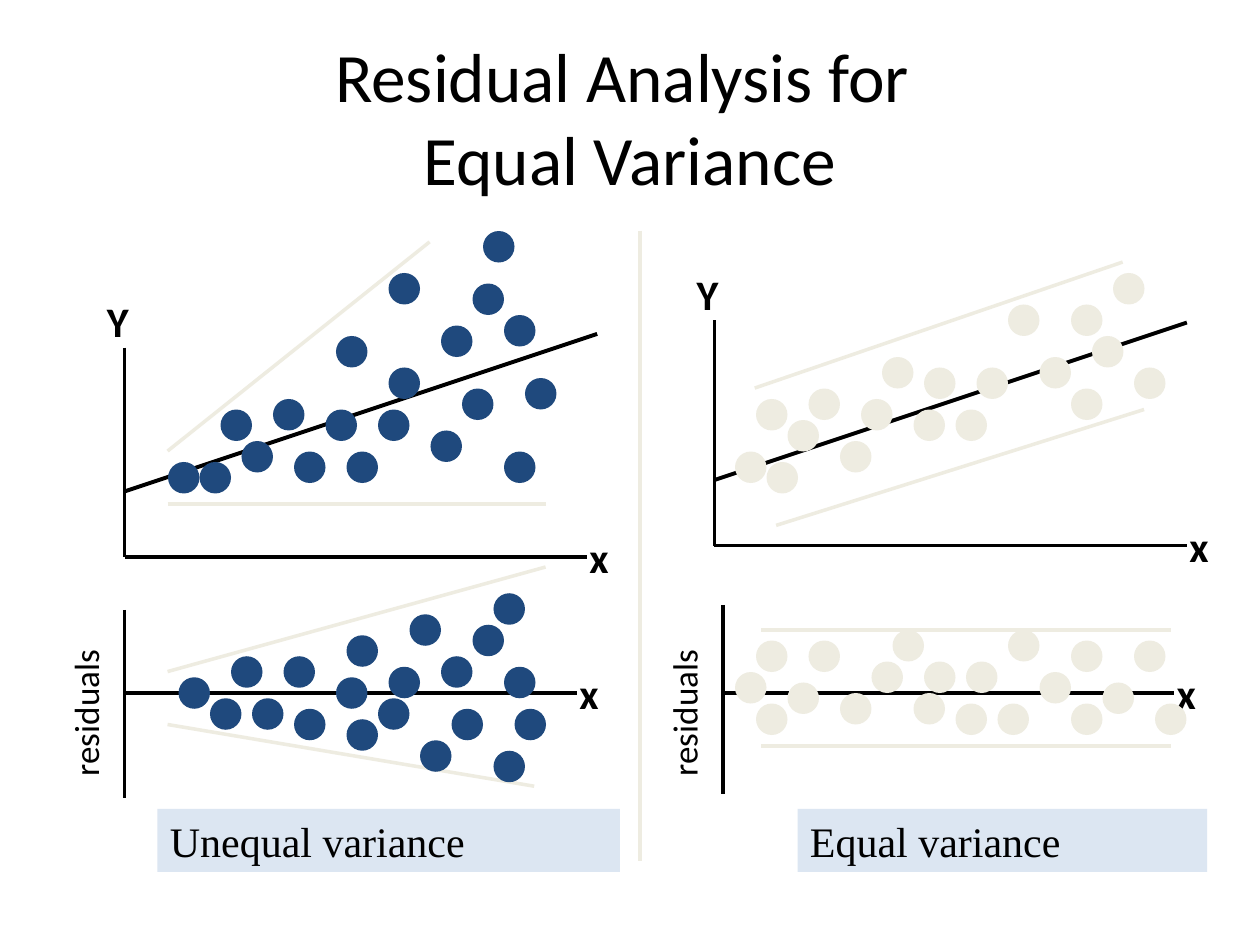
"""Build a slide contrasting unequal and equal variance in regression residuals."""
from dataclasses import dataclass

from lxml.etree import SubElement
from pptx import Presentation
from pptx.dml.color import RGBColor
from pptx.enum.shapes import MSO_CONNECTOR as Connector, MSO_SHAPE as Shape
from pptx.enum.text import MSO_ANCHOR as Anchor, PP_ALIGN as Align
from pptx.oxml.ns import qn
from pptx.slide import Slide
from pptx.util import Inches, Pt

BLACK = RGBColor(0x00, 0x00, 0x00)
NAVY = RGBColor(0x1F, 0x49, 0x7D)
CREAM = RGBColor(0xEE, 0xEC, 0xE1)
PALE_BLUE = RGBColor(0xDC, 0xE6, 0xF2)
CELLS_PER_INCH = 12
DOT_SIZE = Inches(0.25)

Point = tuple[float, float]


@dataclass(frozen=True)
class Label:
    text: str
    left: float
    top: float
    width: float
    height: float = 0.5
    size: float = 24
    font: str = "Calibri"
    bold: bool = False
    rotation: float = 0
    fill: RGBColor | None = None
    align: Align = Align.LEFT
    anchor: Anchor = Anchor.TOP
    wrap: bool = True


@dataclass(frozen=True)
class Plot:
    left: float
    right: float
    top: float
    bottom: float
    bands: list[tuple[Point, Point]]
    dot_color: RGBColor
    first_row: float
    rows: list[list[int]]


def draw_line(page: Slide, start: Point, end: Point,
              color: RGBColor = BLACK, width: float = 2) -> None:
    """Draw one straight line without a shadow."""
    ends = [Inches(value) for value in (*start, *end)]
    connector = page.shapes.add_connector(Connector.STRAIGHT, *ends)
    connector.line.color.rgb = color
    connector.line.width = Pt(width)
    SubElement(connector._element.spPr, qn("a:effectLst"))


def draw_label(page: Slide, label: Label) -> None:
    """Draw one text box with its optional fill and rotation."""
    box = page.shapes.add_textbox(
        Inches(label.left), Inches(label.top), Inches(label.width), Inches(label.height)
    )
    box.rotation = label.rotation
    if label.fill is not None:
        box.fill.solid()
        box.fill.fore_color.rgb = label.fill
    frame = box.text_frame
    frame.word_wrap = label.wrap
    frame.vertical_anchor = label.anchor
    frame.text = label.text
    for para in frame.paragraphs:
        para.alignment = label.align
        for span in para.runs:
            span.font.name = label.font
            span.font.size = Pt(label.size)
            span.font.bold = label.bold
            span.font.color.rgb = BLACK


def draw_dots(page: Slide, plot: Plot) -> None:
    """Draw the data points on a grid of twelfths of an inch."""
    for row, columns in enumerate(plot.rows):
        top = Inches((plot.first_row + row) / CELLS_PER_INCH)
        for column in columns:
            left = Inches(column / CELLS_PER_INCH)
            dot = page.shapes.add_shape(Shape.OVAL, left, top, DOT_SIZE, DOT_SIZE)
            dot.shadow.inherit = False
            dot.fill.solid()
            dot.fill.fore_color.rgb = plot.dot_color
            dot.line.fill.background()


def draw_plot(page: Slide, plot: Plot, axis: float) -> None:
    """Draw the parts that every plot has, with its horizontal axis at a height."""
    draw_line(page, (plot.left, plot.top), (plot.left, plot.bottom))
    draw_line(page, (plot.left, axis), (plot.right, axis))
    for start, end in plot.bands:
        draw_line(page, start, end, CREAM)
    draw_label(page, Label("x", plot.right - 0.08, axis - 0.25, 0.51, bold=True))
    draw_dots(page, plot)


def draw_scatter(page: Slide, plot: Plot) -> None:
    """Draw a scatter plot with its rising trend line."""
    start = plot.bottom - 0.52
    draw_line(page, (plot.left, start), (plot.left + 3.75, start - 1.25), width=2.25)
    draw_label(page, Label("Y", plot.left - 0.24, plot.top - 0.46, 0.42,
                           bold=True, wrap=False))
    draw_plot(page, plot, plot.bottom)


def draw_residuals(page: Slide, plot: Plot) -> None:
    """Draw a residual plot around its zero axis."""
    draw_label(page, Label("residuals", plot.left - 1.03, 5.33, 1.43, 0.43,
                           size=20, rotation=270))
    draw_plot(page, plot, 5.5)


TITLE = Label("Residual Analysis for \vEqual Variance", 0.5, 0.3, 9, 1.25,
              size=39.6, align=Align.CENTER, anchor=Anchor.MIDDLE)
CAPTIONS = [
    Label(text, left, 6.42, width, font="Times New Roman", fill=PALE_BLUE)
    for text, left, width in (("Unequal variance", 1.25, 3.67), ("Equal variance", 6.33, 3.25))
]

RESIDUALS = [
    Plot(0.99, 4.58, 4.84, 6.33,
         [((1.33, 5.33), (4.33, 4.5)), ((1.33, 5.75), (4.24, 6.24))], NAVY, 56.5,
         [[47], [], [39], [45], [33], [], [22, 27, 42], [37, 48], [17, 32], [],
          [20, 24, 36], [28, 43, 49], [33], [], [40], [47]]),
    Plot(5.74, 9.32, 4.8, 6.3,
         [((6.04, height), (9.29, height)) for height in (5, 5.92)], CREAM, 60,
         [[85, 96], [72, 77, 102, 108], [], [83, 88, 92], [70, 99], [75, 105],
          [80, 87], [72, 91, 95, 102, 110]]),
]
SCATTERS = [
    Plot(0.99, 4.66, 2.76, 4.42,
         [((1.33, 3.58), (3.41, 1.92)), ((1.33, 4), (4.33, 4))], NAVY, 22,
         [[46], [], [], [], [37], [45], [], [], [48], [42], [32], [], [], [37],
          [50], [44], [26], [21, 31, 36], [], [41], [23], [28, 33, 48], [16, 19]]),
    Plot(5.67, 9.42, 2.54, 4.33,
         [((5.99, 3.08), (8.91, 2.08)), ((6.16, 4.17), (9.08, 3.25))], CREAM, 26,
         [[106], [], [], [96, 102], [], [], [104], [], [84, 99], [88, 93, 108], [],
          [77, 102], [72, 82], [87, 91], [75], [], [80], [70], [73]]),
]


def main() -> None:
    """Assemble the slide and save the deck."""
    deck = Presentation()
    deck.slide_width, deck.slide_height = Inches(10), Inches(7.5)
    page = deck.slides.add_slide(deck.slide_layouts[6])
    for label in (TITLE, *CAPTIONS):
        draw_label(page, label)
    for plot in RESIDUALS:
        draw_residuals(page, plot)
    for plot in SCATTERS:
        draw_scatter(page, plot)
    draw_line(page, (5.08, 1.83), (5.08, 6.83), CREAM, 2.25)
    deck.save("out.pptx")


if __name__ == "__main__":
    main()
